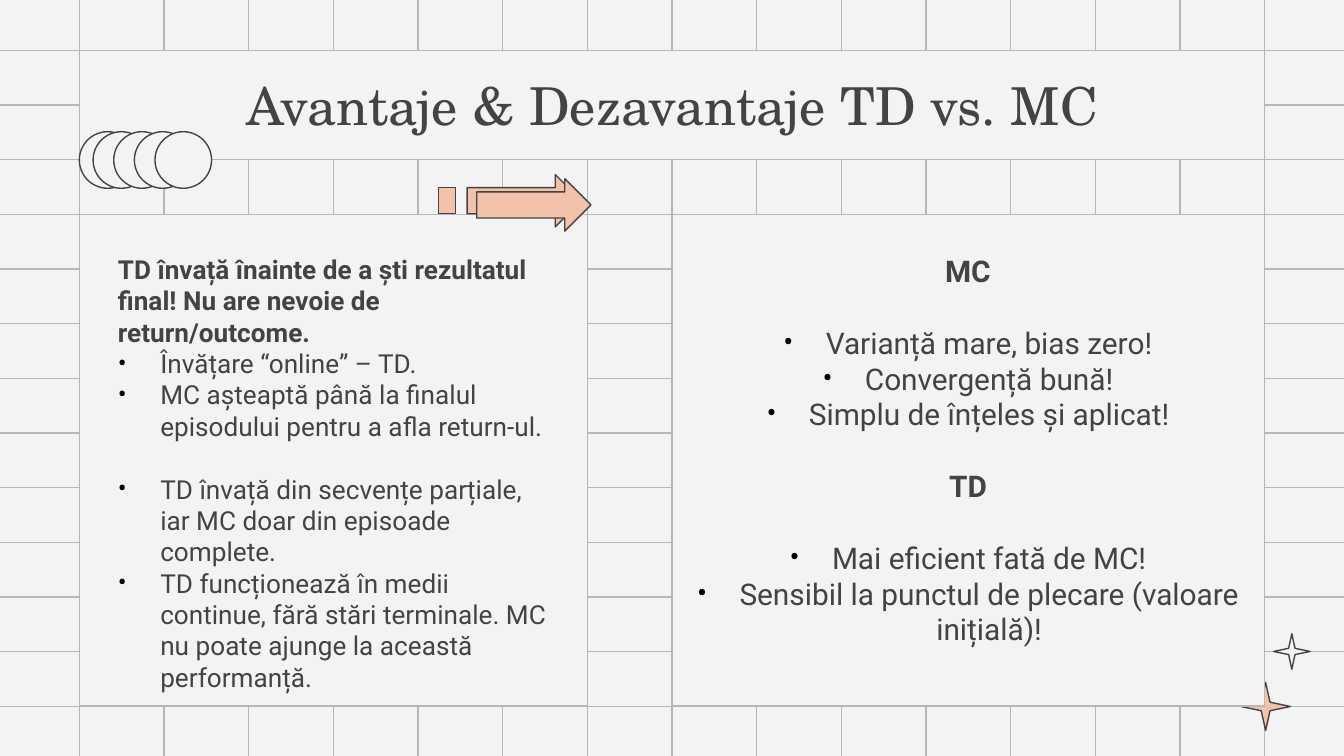
from dataclasses import dataclass

from lxml import etree
from pptx import Presentation
from pptx.dml.color import RGBColor
from pptx.enum.shapes import MSO_CONNECTOR, MSO_SHAPE
from pptx.enum.text import MSO_ANCHOR, MSO_AUTO_SIZE, PP_ALIGN
from pptx.oxml.ns import qn
from pptx.util import Cm, Pt

RECT, OVAL = MSO_SHAPE.RECTANGLE, MSO_SHAPE.OVAL
ARROW, STAR = MSO_SHAPE.RIGHT_ARROW, MSO_SHAPE.STAR_4_POINT
STRAIGHT = MSO_CONNECTOR.STRAIGHT
LEFT, CENTER = PP_ALIGN.LEFT, PP_ALIGN.CENTER
TOP, MIDDLE = MSO_ANCHOR.TOP, MSO_ANCHOR.MIDDLE
NO_AUTOFIT = MSO_AUTO_SIZE.NONE

COLORS = {"paper": "F3F3F3", "grid": "B7B7B7", "ink": "434343",
          "peach": "F2C2AB", "bullet": "000000"}
TITLE_FONT, BODY_FONT = "TeX Gyre Schola", "Roboto"
WIDTH, HEIGHT = 25.4, 14.29
GRID_LEFT, GRID_TOP, GRID_BOTTOM = 1.5, 0.95, 13.35
COLUMN, ROWS = 1.6, 12
ROW = (GRID_BOTTOM - GRID_TOP) / ROWS
BLEED = 0.1
INSET = 0.25
INDENT = 0.8
PANEL_TOP = GRID_TOP + 3 * ROW


@dataclass
class Box:
    left: float
    top: float
    width: float
    height: float


@dataclass
class Line:
    text: str
    bold: bool = False
    bullet: bool = False
    gap: bool = False


def rgb(name: str) -> RGBColor:
    return RGBColor.from_string(COLORS[name])


def paint(sp, fill: str, line: str) -> None:
    sp.fill.solid()
    sp.fill.fore_color.rgb = rgb(fill)
    sp.line.color.rgb = rgb(line)
    sp.line.width = Pt(0.75)


def add_shape(s, kind, box: Box, fill: str, line: str = "ink"):
    sp = s.shapes.add_shape(kind, Cm(box.left), Cm(box.top), Cm(box.width), Cm(box.height))
    sp.shadow.inherit = False
    paint(sp, fill, line)
    return sp


def add_grid_line(s, x1: float, y1: float, x2: float, y2: float) -> None:
    line = s.shapes.add_connector(STRAIGHT, Cm(x1), Cm(y1), Cm(x2), Cm(y2))
    line.line.color.rgb = rgb("grid")
    line.line.width = Pt(0.75)
    etree.SubElement(line.element.spPr, qn("a:effectLst"))


def set_frame(tf, anchor) -> None:
    tf.word_wrap = True
    tf.auto_size = NO_AUTOFIT
    tf.vertical_anchor = anchor
    tf.margin_left = tf.margin_right = tf.margin_top = tf.margin_bottom = Cm(INSET)


def add_run(p, text: str, font: str, size: float, bold: bool = False) -> None:
    r = p.add_run()
    r.text = text
    r.font.name = font
    r.font.size = Pt(size)
    r.font.bold = bold
    r.font.color.rgb = rgb("ink")


def add_bullet(p) -> None:
    pPr = p._p.get_or_add_pPr()
    pPr.set("marL", str(Cm(INDENT)))
    pPr.set("indent", str(-Cm(INDENT)))
    color = etree.SubElement(pPr, qn("a:buClr"))
    etree.SubElement(color, qn("a:srgbClr"), val=COLORS["bullet"])
    etree.SubElement(pPr, qn("a:buFont"), typeface=BODY_FONT)
    etree.SubElement(pPr, qn("a:buChar"), char="•")


def add_text(s, box: Box, lines: list[Line], size: float, align) -> None:
    """Write the lines; a gap leaves one line height above its paragraph."""
    sp = s.shapes.add_textbox(Cm(box.left), Cm(box.top), Cm(box.width), Cm(box.height))
    tf = sp.text_frame
    set_frame(tf, TOP)
    for i, line in enumerate(lines):
        p = tf.add_paragraph() if i else tf.paragraphs[0]
        p.alignment = align
        if line.gap:
            p.space_before = Pt(round(size * 1.2, 1))
        if line.bullet:
            add_bullet(p)
        add_run(p, line.text, BODY_FONT, size, line.bold)


def add_grid(s) -> None:
    """Draw each grid line as two halves that meet on the centre axes."""
    middle_x = GRID_LEFT + 7 * COLUMN
    middle_y = GRID_TOP + ROWS / 2 * ROW
    for top, bottom in ((-BLEED, middle_y), (middle_y, HEIGHT + BLEED)):
        for i in range(15):
            x = GRID_LEFT + i * COLUMN
            add_grid_line(s, x, top, x, bottom)
    for left, right in ((-BLEED, middle_x), (middle_x, WIDTH + BLEED)):
        for i in range(ROWS + 1):
            y = GRID_TOP + i * ROW
            add_grid_line(s, left, y, right, y)


def add_title(s, text: str) -> None:
    title = s.shapes.title
    title.element.getparent().append(title.element)  # in front of the grid
    title.left, title.top = Cm(GRID_LEFT), Cm(GRID_TOP)
    title.width, title.height = Cm(14 * COLUMN), Cm(2 * ROW)
    paint(title, "paper", "grid")
    set_frame(title.text_frame, MIDDLE)
    p = title.text_frame.paragraphs[0]
    p.alignment = CENTER
    add_run(p, text, TITLE_FONT, 28)


LEARNING = [
    Line("TD învață înainte de a ști rezultatul final! Nu are nevoie de return/outcome.", bold=True),
    Line("Învățare “online” – TD.", bullet=True),
    Line("MC așteaptă până la finalul episodului pentru a afla return-ul.", bullet=True),
    Line("TD învață din secvențe parțiale, iar MC doar din episoade complete.", bullet=True, gap=True),
    Line("TD funcționează în medii continue, fără stări terminale. "
         "MC nu poate ajunge la această performanță.", bullet=True),
]
COMPARISON = [
    Line("MC", bold=True),
    Line("Varianță mare, bias zero!", bullet=True, gap=True),
    Line("Convergență bună!", bullet=True),
    Line("Simplu de înțeles și aplicat!", bullet=True),
    Line("TD", bold=True, gap=True),
    Line("Mai eficient fată de MC!", bullet=True, gap=True),
    Line("Sensibil la punctul de plecare (valoare inițială)!", bullet=True),
]


def main() -> None:
    prs = Presentation()
    prs.slide_width, prs.slide_height = Cm(WIDTH), Cm(HEIGHT)
    s = prs.slides.add_slide(prs.slide_layouts[5])
    s.background.fill.solid()
    s.background.fill.fore_color.rgb = rgb("paper")

    add_grid(s)
    for box, fill in ((Box(23.45, 12.9, 0.94, 0.91), "peach"),
                      (Box(24.07, 11.98, 0.69, 0.67), "paper")):
        add_shape(s, STAR, box, fill).adjustments[0] = 0.125

    add_shape(s, RECT, Box(GRID_LEFT, PANEL_TOP, 6 * COLUMN, 9 * ROW), "paper", "grid")
    add_title(s, "Avantaje & Dezavantaje TD vs. MC")
    add_text(s, Box(1.98, 4.54, 8.81, 8.56), LEARNING, 14, LEFT)

    add_shape(s, ARROW, Box(8.83, 3.3, 2.16, 0.99), "peach")
    add_shape(s, RECT, Box(8.29, 3.54, 0.32, 0.5), "peach")
    add_shape(s, ARROW, Box(9.01, 3.38, 2.16, 0.99), "peach")
    for left in (1.5, 1.76, 2.15, 2.54, 2.93):
        add_shape(s, OVAL, Box(left, 2.49, 1.07, 1.07), "paper")

    add_shape(s, RECT, Box(GRID_LEFT + 7 * COLUMN, PANEL_TOP, 7 * COLUMN, 9 * ROW), "paper", "grid")
    add_text(s, Box(12.86, 4.53, 10.87, 8.56), COMPARISON, 16, CENTER)
    prs.save("out.pptx")


if __name__ == "__main__":
    main()
